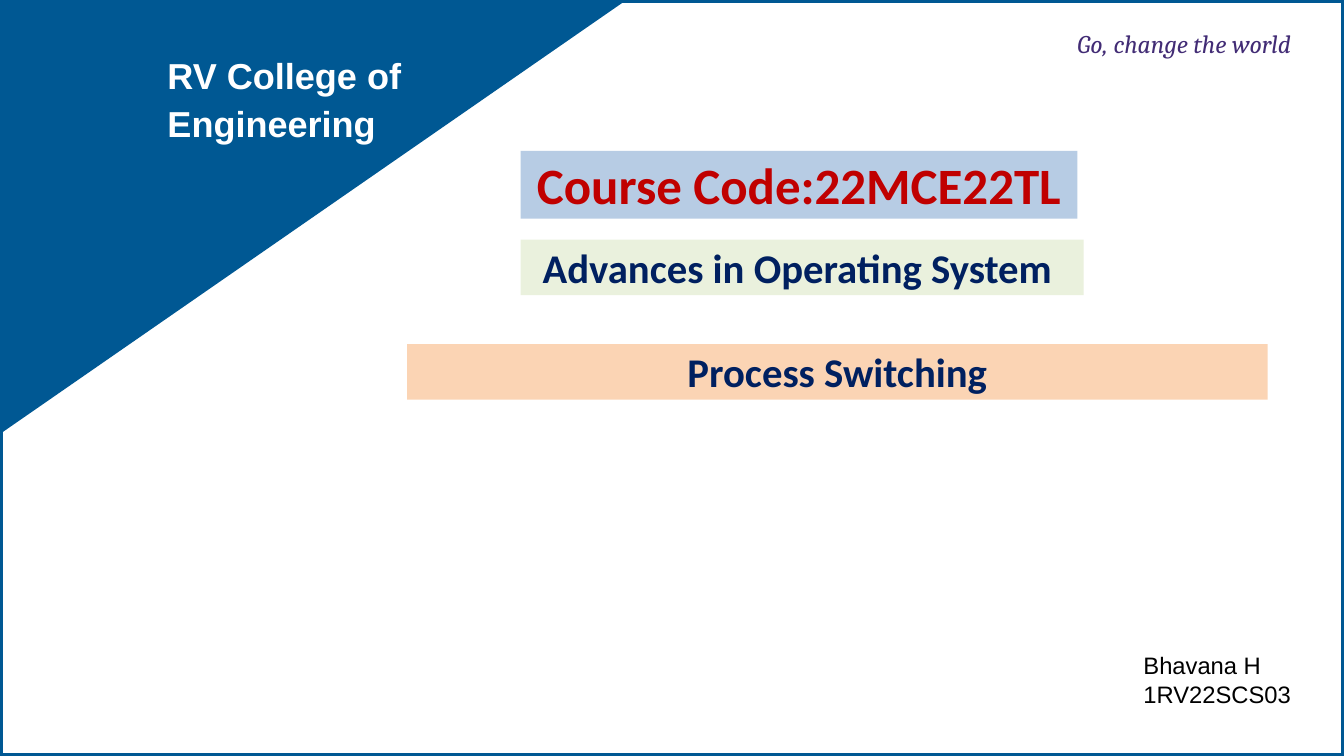
import dataclasses

import pptx
import pptx.dml.color
import pptx.enum.shapes
import pptx.enum.text
import pptx.util

ALIGN = pptx.enum.text.PP_ALIGN


@dataclasses.dataclass(frozen=True)
class Theme:
    blue: str = "005893"
    white: str = "FFFFFF"
    black: str = "000000"
    purple: str = "422C75"
    red: str = "C00000"
    navy: str = "002060"
    pale_blue: str = "B7CCE4"
    pale_green: str = "EAF1DD"
    pale_orange: str = "FBD4B4"
    heading_font: str = "Calibri"
    body_font: str = "Arial"
    motto_font: str = "Cambria"
    course_size: float = 60
    banner_size: float = 48
    college_size: float = 42.5
    motto_size: float = 30
    student_size: float = 28
    frame_width: float = 6


THEME = Theme()


@dataclasses.dataclass(frozen=True)
class Box:
    left: int
    top: int
    width: int
    height: int

    def inner_box(self, left, top, width, height):
        """Return an inner box given in percent of this one."""
        return Box(
            self.left + round(self.width * left / 100),
            self.top + round(self.height * top / 100),
            round(self.width * width / 100),
            round(self.height * height / 100),
        )

    def edges(self):
        return self.left, self.top, self.width, self.height


def rgb(color):
    return pptx.dml.color.RGBColor.from_string(color)


def fill_shape(shape, color):
    shape.fill.solid()
    shape.fill.fore_color.rgb = rgb(color)
    shape.line.fill.background()


def write_text(shape, lines, *, size, font, color, bold=False, italic=False,
               align=ALIGN.LEFT, line_spacing=1.0, space_before=0, margins=(0.1, 0.05)):
    frame = shape.text_frame
    frame.word_wrap = True
    frame.auto_size = pptx.enum.text.MSO_AUTO_SIZE.NONE
    frame.vertical_anchor = pptx.enum.text.MSO_ANCHOR.TOP
    frame.margin_left = frame.margin_right = pptx.util.Inches(margins[0])
    frame.margin_top = frame.margin_bottom = pptx.util.Inches(margins[1])
    for index, line in enumerate(lines):
        paragraph = frame.add_paragraph() if index else frame.paragraphs[0]
        paragraph.alignment = align
        paragraph.line_spacing = line_spacing
        paragraph.space_before = pptx.util.Pt(space_before if index else 0)
        run = paragraph.add_run()
        run.text = line
        run.font.size = pptx.util.Pt(size)
        run.font.name = font
        run.font.bold = bold
        run.font.italic = italic
        run.font.color.rgb = rgb(color)


def add_text(slide, box, lines, **text_format):
    write_text(slide.shapes.add_textbox(*box.edges()), lines, **text_format)


def add_rectangle(slide, box):
    shape = slide.shapes.add_shape(pptx.enum.shapes.MSO_SHAPE.RECTANGLE, *box.edges())
    shape.shadow.inherit = False
    return shape


def draw_frame(slide, box):
    frame = add_rectangle(slide, box)
    frame.fill.background()
    frame.line.color.rgb = rgb(THEME.blue)
    frame.line.width = pptx.util.Pt(THEME.frame_width)


def draw_college_corner(slide, box):
    builder = slide.shapes.build_freeform(box.left + box.width, box.top)
    builder.add_line_segments(
        [(box.left, box.top), (box.left, box.top + box.height)], close=True)
    corner = builder.convert_to_shape()
    corner.shadow.inherit = False
    fill_shape(corner, THEME.blue)
    add_text(slide, box.inner_box(26.74, 11.13, 40.68, 19.01),
             ["RV College of", "Engineering"],
             size=THEME.college_size, font=THEME.body_font, color=THEME.white,
             bold=True, line_spacing=1.1, space_before=1.1, margins=(0, 0.01))


def draw_motto(slide, box):
    add_text(slide, box, ["Go, change the world"], size=THEME.motto_size,
             font=THEME.motto_font, color=THEME.purple, italic=True, margins=(0, 0.01))


def draw_banners(slide, box):
    """Place the course code and name above the title."""
    title = slide.shapes.title
    title_box = box.inner_box(0, 77.63, 100, 22.37)
    title.left, title.top, title.width, title.height = title_box.edges()
    course_code = add_rectangle(slide, box.inner_box(13.2, 0, 64.7, 27.26))
    course_name = add_rectangle(slide, box.inner_box(13.2, 35.62, 65.41, 22.37))
    banners = [
        (course_code, "Course Code:22MCE22TL", THEME.pale_blue, THEME.red, THEME.course_size),
        (course_name, "Advances in Operating System ", THEME.pale_green, THEME.navy,
         THEME.banner_size),
        (title, "Process Switching", THEME.pale_orange, THEME.navy, THEME.banner_size),
    ]
    for shape, text, fill, color, size in banners:
        fill_shape(shape, fill)
        write_text(shape, [text], size=size, font=THEME.heading_font, color=color,
                   bold=True, align=ALIGN.CENTER)


def draw_student(slide, box):
    add_text(slide, box, ["Bhavana H", "1RV22SCS03"], size=THEME.student_size,
             font=THEME.body_font, color=THEME.black)


def main():
    presentation = pptx.Presentation()
    presentation.slide_width = pptx.util.Inches(21.99)
    presentation.slide_height = pptx.util.Inches(12.37)
    slide = presentation.slides.add_slide(presentation.slide_layouts[5])
    slide.background.fill.solid()
    slide.background.fill.fore_color.rgb = rgb(THEME.white)

    page = Box(0, 0, presentation.slide_width, presentation.slide_height)
    draw_frame(slide, page)
    draw_college_corner(slide, page.inner_box(0, 0, 46.61, 57.4))
    draw_motto(slide, page.inner_box(80.17, 3.64, 16.92, 4.28))
    draw_banners(slide, page.inner_box(30.29, 19.97, 64.03, 32.9))
    draw_student(slide, page.inner_box(84.63, 85.69, 15.37, 8.5))
    presentation.save("out.pptx")


if __name__ == "__main__":
    main()
